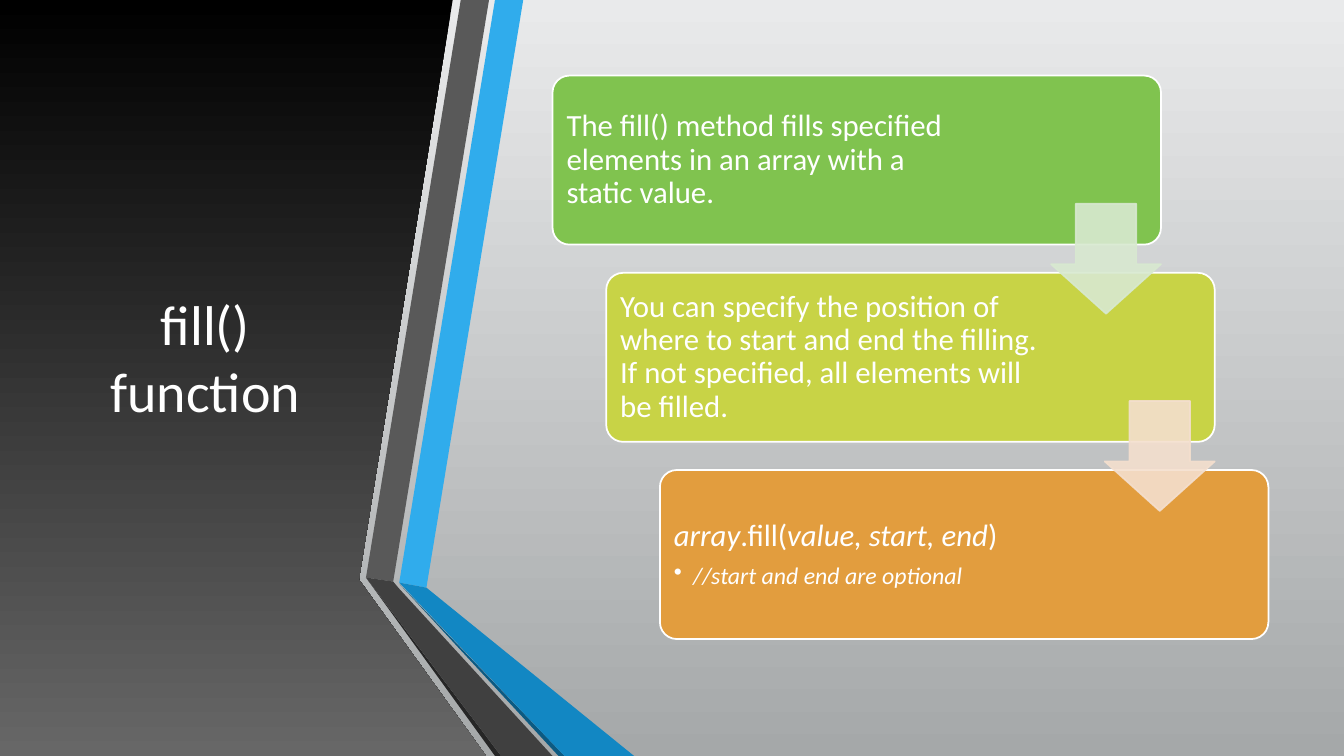
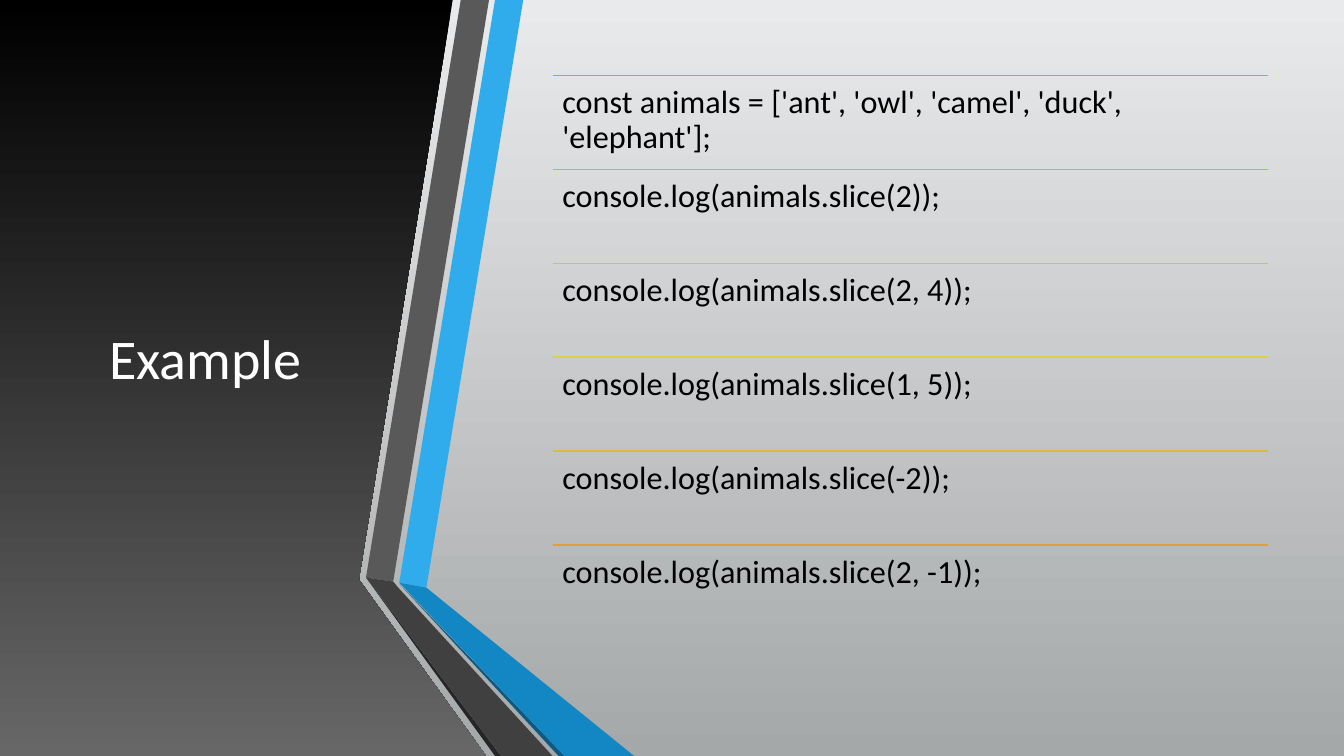
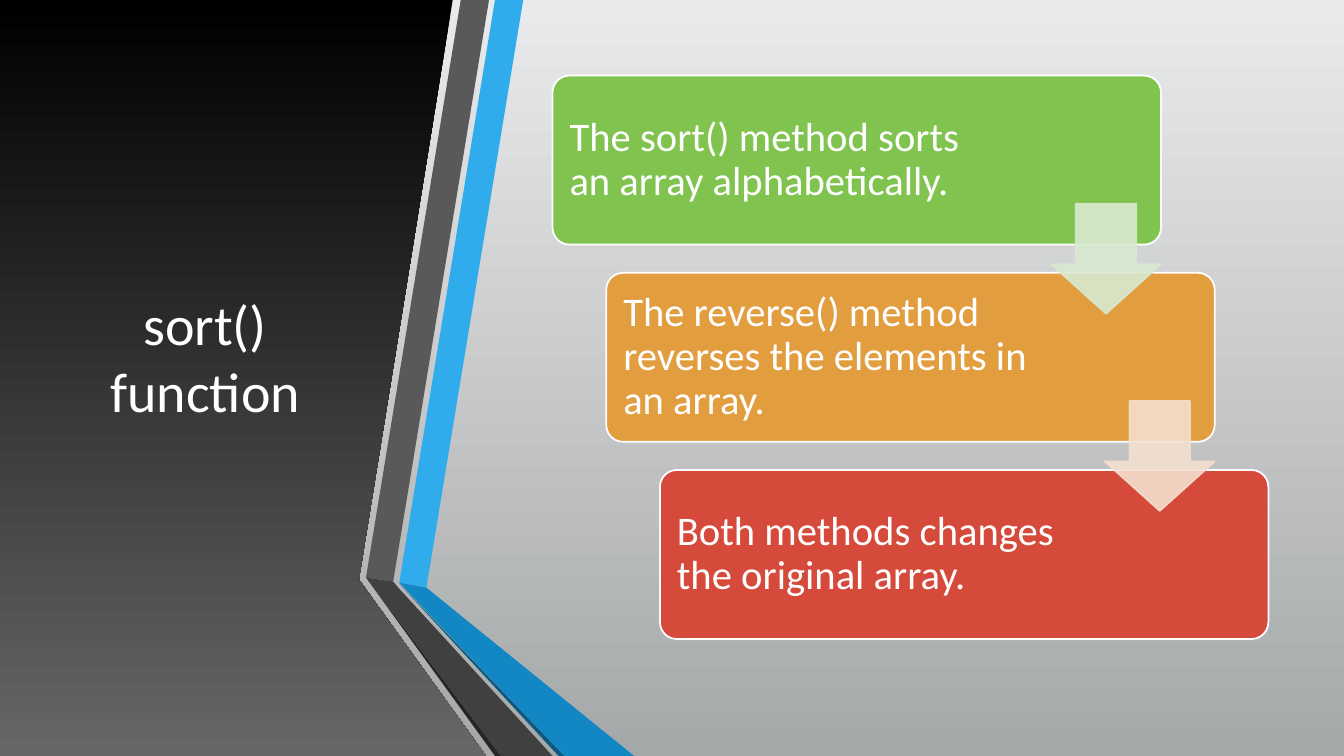
from lxml.etree import SubElement
from pptx import Presentation
from pptx.dml.color import RGBColor as RGB
from pptx.enum.shapes import MSO_CONNECTOR as Connector, MSO_SHAPE as Shape
from pptx.enum.text import MSO_ANCHOR as Anchor, MSO_AUTO_SIZE as AutoSize, PP_ALIGN as Align
from pptx.oxml.ns import qn
from pptx.util import Inches, Pt

# Shared look
FONT = "Calibri"
WHITE, BLACK = RGB(255, 255, 255), RGB(0, 0, 0)
BACK_TOP, BACK_BOTTOM = RGB(0xE9, 0xEA, 0xEB), RGB(0xA5, 0xA8, 0xA9)
PANEL_BOTTOM = RGB(0x67, 0x67, 0x67)
BLUE, BLUE_FOLD, BLUE_EDGE = RGB(0x30, 0xAC, 0xEC), RGB(0x12, 0x87, 0xC3), RGB(0x0C, 0x5A, 0x82)
GREY, GREY_FOLD, GREY_EDGE = RGB(0x59, 0x59, 0x59), RGB(0x40, 0x40, 0x40), RGB(0x26, 0x26, 0x26)
GREEN, LIME = RGB(0x80, 0xC3, 0x4F), RGB(0xC8, 0xD3, 0x46)
ORANGE, RED = RGB(0xE2, 0x9D, 0x3E), RGB(0xD6, 0x4A, 0x3B)
ARROW_COLOURS = RGB(0xD8, 0xE9, 0xD0), RGB(0xF4, 0xDF, 0xCE)
RULE_COLOURS = (GREEN, RGB(0x9A, 0xC9, 0x4B), RGB(0xB8, 0xD0, 0x48),
                RGB(0xD6, 0xD3, 0x44), RGB(0xDC, 0xBA, 0x41), ORANGE)
LINE_WIDTH = Pt(1.25)

# Content area, in inches, and the staircase of cards as shares of it
LEFT, TOP, WIDTH, HEIGHT = 5.48, 0.75, 7.1, 5.59
CARD_W, CARD_H = 0.85 * WIDTH, 0.3 * HEIGHT
STEP_X, STEP_Y = 0.075 * WIDTH, 0.35 * HEIGHT
ARROW = 0.65 * CARD_H
CORNER = 0.1
CORNER_INSET = 0.29 * CORNER * CARD_H

# Outlines in hundredths of an inch
PANEL = [(0, 0), (449, 0), (356, 575), (482, 750), (0, 750)]
BANDS = [
    (BLUE, [(396, 578), (423, 583), (519, 0), (491, 0)]),
    (GREY, [(485, 0), (457, 0), (363, 573), (390, 577)]),
    (GREY_EDGE, [(363, 573), (491, 750), (497, 750)]),
    (BLUE_EDGE, [(396, 579), (554, 750), (560, 750)]),
    (BLUE_FOLD, [(396, 578), (560, 750), (629, 750), (423, 583)]),
    (GREY_FOLD, [(548, 750), (395, 583), (390, 577), (363, 573), (497, 750)]),
]


def box(*lengths):
    return [Inches(length) for length in lengths]


def fade(fill, top, bottom):
    """Vertical gradient from top to bottom."""
    fill.gradient()
    fill.gradient_angle = 270
    for stop, colour in zip(fill.gradient_stops, (top, bottom)):
        stop.color.rgb = colour


def paint(shape, colour, outline=None):
    shape.shadow.inherit = False
    shape.fill.solid()
    shape.fill.fore_color.rgb = colour
    if outline is None:
        shape.line.fill.background()
    else:
        shape.line.color.rgb = outline
        shape.line.width = LINE_WIDTH


def add_outline(slide, points, colour):
    builder = slide.shapes.build_freeform(*points[0], scale=Inches(0.01))
    builder.add_line_segments(points[1:], close=True)
    outline = builder.convert_to_shape()
    paint(outline, colour)
    return outline


def add_run(paragraph, text, size, colour, italic=False):
    run = paragraph.add_run()
    run.text = text
    run.font.name, run.font.size = FONT, Pt(size)
    run.font.color.rgb, run.font.italic = colour, italic


def set_frame(frame, anchor, left, top, right, bottom):
    frame.word_wrap = True
    frame.auto_size = AutoSize.NONE
    frame.vertical_anchor = anchor
    frame.margin_left, frame.margin_top, frame.margin_right, frame.margin_bottom = box(
        left, top, right, bottom)


def space(paragraph, after):
    paragraph.alignment = Align.LEFT
    paragraph.line_spacing = 0.9
    paragraph.space_after = Pt(after)


def add_bullet(paragraph, indent):
    props = paragraph._p.get_or_add_pPr()
    props.set("marL", str(Inches(indent)))
    props.set("indent", str(-Inches(indent)))
    SubElement(props, qn("a:buChar"), char="•")


def add_page(deck, heading):
    """Slide with the dark title panel and the folded bands."""
    slide = deck.slides.add_slide(deck.slide_layouts[5])
    fade(add_outline(slide, PANEL, BLACK).fill, BLACK, PANEL_BOTTOM)
    for colour, points in BANDS:
        add_outline(slide, points, colour)
    title = slide.shapes.title
    title.left, title.top, title.width, title.height = box(0.59, TOP, 2.89, 5.58)
    set_frame(title.text_frame, Anchor.MIDDLE, 0.1, 0.05, 0.1, 0.05)
    paragraph = title.text_frame.paragraphs[0]
    paragraph.alignment = Align.CENTER
    add_run(paragraph, heading, 40, WHITE)
    # Bring the title in front of the panel
    title.element.getparent().append(title.element)
    return slide


def add_card(slide, step, colour, runs, size, pad):
    card = slide.shapes.add_shape(Shape.ROUNDED_RECTANGLE, *box(
        LEFT + step * STEP_X, TOP + step * STEP_Y, CARD_W, CARD_H))
    card.adjustments[0] = CORNER
    paint(card, colour, WHITE)
    # Text stays clear of the arrows on the right
    text_width = 4.32 if step else 4.23
    right = CARD_W - 2 * CORNER_INSET - text_width + pad
    set_frame(card.text_frame, Anchor.MIDDLE, pad, pad, right, pad)
    paragraph = card.text_frame.paragraphs[0]
    space(paragraph, 0.35 * size)
    for text, italic in runs:
        add_run(paragraph, text, size, WHITE, italic)
    return card


def add_arrow(slide, step, colour):
    """Arrow over the gap below a card, flush with its right side."""
    gap_middle = TOP + step * STEP_Y + (CARD_H + STEP_Y) / 2
    arrow = slide.shapes.add_shape(Shape.DOWN_ARROW, *box(
        LEFT + step * STEP_X + CARD_W - ARROW, gap_middle - ARROW / 2, ARROW, ARROW))
    arrow.adjustments[0], arrow.adjustments[1] = 0.55, 0.45
    paint(arrow, colour, colour)
    for tint in arrow.element.spPr.iter(qn("a:srgbClr")):
        SubElement(tint, qn("a:alpha"), val="90000")


def add_staircase(slide, steps, size, pad):
    cards = [add_card(slide, step, colour, runs, size, pad)
             for step, (colour, runs) in enumerate(steps)]
    for step, colour in enumerate(ARROW_COLOURS):
        add_arrow(slide, step, colour)
    return cards


def add_ruled_list(slide, entries):
    row_height = HEIGHT / len(entries)
    for row, (entry, colour) in enumerate(zip(entries, RULE_COLOURS)):
        top = TOP + row * row_height
        rule = slide.shapes.add_connector(
            Connector.STRAIGHT, *box(LEFT, top, LEFT + WIDTH, top))
        rule.line.color.rgb, rule.line.width = colour, LINE_WIDTH
        SubElement(rule.element.spPr, qn("a:effectLst"))
        code = slide.shapes.add_textbox(*box(LEFT, top, WIDTH, row_height)).text_frame
        set_frame(code, Anchor.TOP, 0.1, 0.1, 0.1, 0.1)
        space(code.paragraphs[0], 0.35 * 23)
        add_run(code.paragraphs[0], entry, 23, BLACK)


def main():
    deck = Presentation()
    deck.slide_width, deck.slide_height = box(13.33, 7.5)
    fade(deck.slide_master.background.fill, BACK_TOP, BACK_BOTTOM)

    # fill()
    fill_cards = add_staircase(add_page(deck, "fill() function"), [
        (GREEN, [("The fill() method fills specified elements in an array "
                  "with a static value.", False)]),
        (LIME, [("You can specify the position of where to start and end the filling. "
                 "If not specified, all elements will be filled.", False)]),
        (ORANGE, [("array", True), (".fill(", False),
                  ("value, start, end", True), (")", False)]),
    ], size=22, pad=0.09)
    remark = fill_cards[-1].text_frame.add_paragraph()
    space(remark, 0.15 * 17)
    add_bullet(remark, 0.19)
    add_run(remark, "//start and end are optional", 17, WHITE, italic=True)

    # slice() example
    calls = ("2", "2, 4", "1, 5", "-2", "2, -1")
    add_ruled_list(add_page(deck, "Example"), [
        "const animals = ['ant', 'owl', 'camel', 'duck', 'elephant'];",
        *(f"console.log(animals.slice({call}));" for call in calls),
    ])

    # sort()
    add_staircase(add_page(deck, "sort() function"), [
        (GREEN, [("The sort() method sorts an array alphabetically.", False)]),
        (ORANGE, [("The reverse() method reverses the elements in an array.", False)]),
        (RED, [("Both methods changes the original array.", False)]),
    ], size=29, pad=0.12)

    deck.save("out.pptx")


if __name__ == "__main__":
    main()
